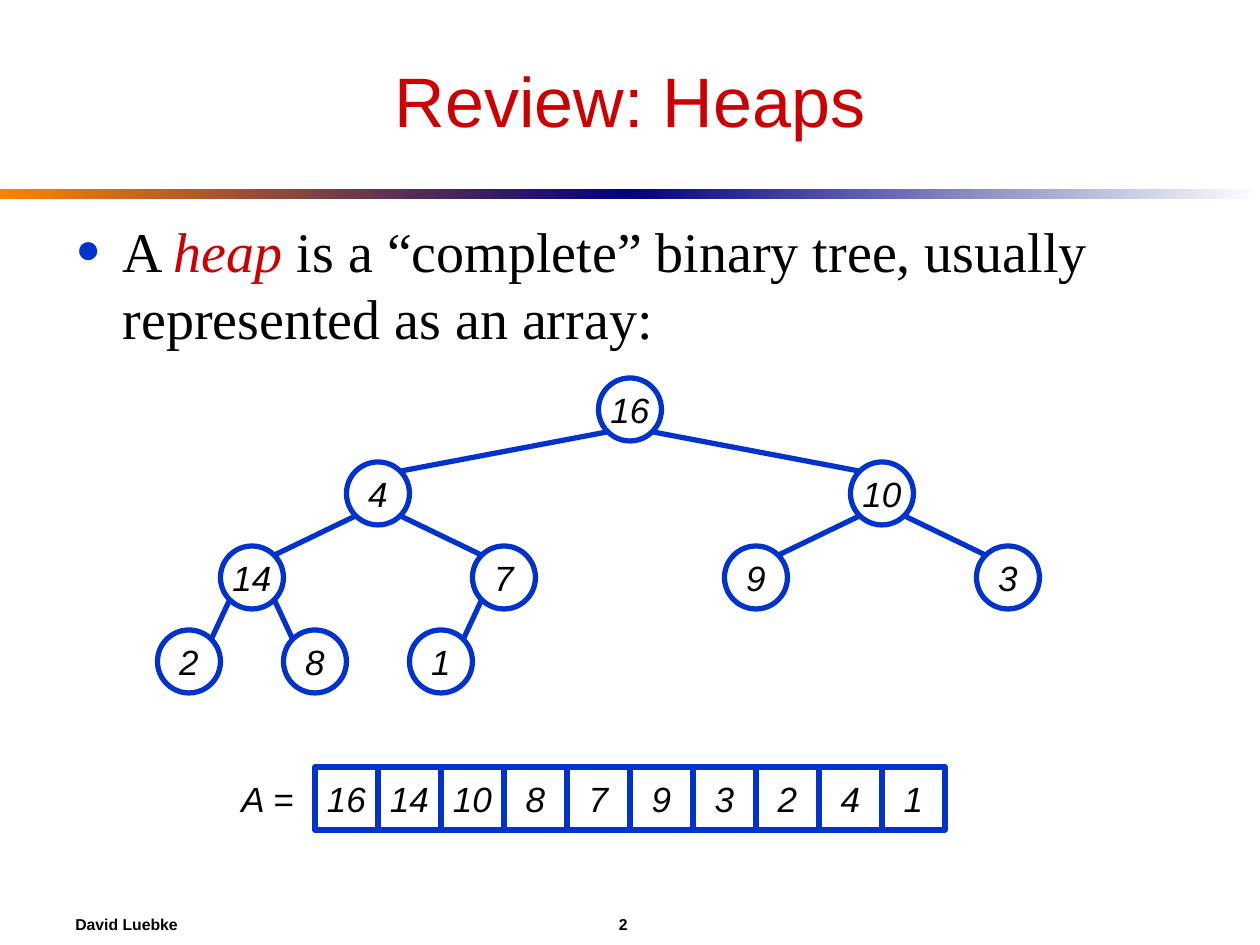
from lxml import etree
from pptx import Presentation
from pptx.dml.color import RGBColor
from pptx.enum.shapes import MSO_CONNECTOR, MSO_SHAPE
from pptx.enum.text import MSO_ANCHOR, MSO_AUTO_SIZE, PP_ALIGN
from pptx.oxml.ns import qn
from pptx.util import Emu, Pt

RECT, OVAL = MSO_SHAPE.RECTANGLE, MSO_SHAPE.OVAL
STRAIGHT = MSO_CONNECTOR.STRAIGHT
TOP, MIDDLE = MSO_ANCHOR.TOP, MSO_ANCHOR.MIDDLE
LEFT, CENTER = PP_ALIGN.LEFT, PP_ALIGN.CENTER
NO_FIT = MSO_AUTO_SIZE.NONE

PX = 914400 / 126
COLORS = {"black": "000000", "white": "FFFFFF", "red": "CC0000",
          "blue": "0033CC", "navy": "000082", "orange": "FF8200"}
TITLE = {"name": "Arial", "size": Pt(40), "color": "red"}
BODY = {"name": "Times New Roman", "size": Pt(32), "color": "black"}
TERM = {**BODY, "italic": True, "color": "red"}
VALUE = {"name": "Arial", "size": Pt(20), "italic": True, "color": "black"}
FOOTER = {"name": "Arial", "size": Pt(9), "bold": True, "color": "black"}

NODE = 63
LEVEL_GAP = 84
DIAGONAL = 0.71
TREE = [16, 4, 10, 14, 7, 9, 3, 2, 8, 1]
ARRAY = [16, 14, 10, 8, 7, 9, 3, 2, 4, 1]


def px(*lengths):
    """Turn px lengths into EMU."""
    return [Emu(round(length * PX)) for length in lengths]


def rgb(name):
    """Look up a named colour."""
    return RGBColor.from_string(COLORS[name])


def add_run(p, text, style):
    """Append a run formatted by a style dict."""
    r = p.add_run()
    r.text = text
    for key, value in style.items():
        if key == "color":
            r.font.color.rgb = rgb(value)
        else:
            setattr(r.font, key, value)


def set_frame(s, align, anchor, wrap=True):
    """Format a text frame and return its first paragraph."""
    tf = s.text_frame
    margin_x, margin_y = Pt(7.2), Pt(3.6)
    settings = {"auto_size": NO_FIT, "word_wrap": wrap, "vertical_anchor": anchor,
                "margin_left": margin_x, "margin_right": margin_x,
                "margin_top": margin_y, "margin_bottom": margin_y}
    for key, value in settings.items():
        setattr(tf, key, value)
    p = tf.paragraphs[0]
    p.alignment = align
    return p


def place(s, box):
    """Move a shape to a px box."""
    s.left, s.top, s.width, s.height = px(*box)


def add_value(shapes, kind, box, value):
    """Draw an outlined shape holding one heap value."""
    s = shapes.add_shape(kind, *px(*box))
    s.shadow.inherit = False
    s.fill.solid()
    s.fill.fore_color.rgb = rgb("white")
    s.line.color.rgb = rgb("blue")
    s.line.width = Pt(3)
    add_run(set_frame(s, CENTER, MIDDLE, False), str(value), VALUE)


def add_rule(slide, box):
    """Draw the two-part gradient rule across the box."""
    left, top, width, height = box
    half = width / 2
    for i, names in enumerate([("orange", "navy"), ("navy", "white")]):
        s = slide.shapes.add_shape(RECT, *px(left + i * half, top, half, height))
        s.shadow.inherit = False
        s.line.fill.background()
        s.fill.gradient()
        s.fill.gradient_angle = 0
        for stop, name in zip(s.fill.gradient_stops, names):
            stop.color.rgb = rgb(name)


def add_title(slide, box):
    """Fill the title placeholder."""
    s = slide.shapes.title
    place(s, box)
    add_run(set_frame(s, CENTER, MIDDLE), "Review: Heaps", TITLE)


def add_body(slide, box):
    """Fill the body placeholder with the bulleted definition."""
    s = slide.placeholders[1]
    place(s, box)
    p = set_frame(s, LEFT, TOP)
    p.space_before = Pt(0)
    pPr = p._p.get_or_add_pPr()
    indent = px(47)[0]
    pPr.set("marL", str(indent))
    pPr.set("indent", str(-indent))
    color = etree.SubElement(pPr, qn("a:buClr"))
    etree.SubElement(color, qn("a:srgbClr"), val=COLORS["blue"])
    etree.SubElement(pPr, qn("a:buSzPct"), val="75000")
    etree.SubElement(pPr, qn("a:buFont"), typeface="Times New Roman")
    etree.SubElement(pPr, qn("a:buChar"), char="●")
    add_run(p, "A ", BODY)
    add_run(p, "heap", TERM)
    add_run(p, " is a “complete” binary tree, usually represented as an array:", BODY)


def add_edge(slide, parent, child):
    """Join the facing diagonal points of two node centres."""
    (x1, y1), (x2, y2) = parent, child
    reach = NODE / 2 * DIAGONAL
    side = reach if x2 > x1 else -reach
    line = slide.shapes.add_connector(
        STRAIGHT, *px(x1 + side, y1 + reach, x2 - side, y2 - reach))
    line.line.color.rgb = rgb("blue")
    line.line.width = Pt(3)
    etree.SubElement(line._element.spPr, qn("a:effectLst"))


def add_tree(slide, box):
    """Draw the values as a complete binary tree, halving the slots per level."""
    left, top, width, _ = box
    centers = []
    for i, value in enumerate(TREE):
        level = (i + 1).bit_length() - 1
        slots = 2 ** level
        x = left + width / slots * (i + 1 - slots + 0.5)
        y = top + level * LEVEL_GAP + NODE / 2
        centers.append((x, y))
        add_value(slide.shapes, OVAL, (x - NODE / 2, y - NODE / 2, NODE, NODE), value)
    for i in range(1, len(centers)):
        add_edge(slide, centers[(i - 1) // 2], centers[i])


def add_array(slide, box):
    """Draw the label and the row of array cells as one group."""
    left, top, width, height = box
    shapes = slide.shapes.add_group_shape().shapes
    label_width = width - NODE * len(ARRAY)
    for i, value in enumerate(ARRAY):
        add_value(shapes, RECT, (left + label_width + i * NODE, top, NODE, height), value)
    label = shapes.add_textbox(*px(left, top, label_width, height))
    add_run(set_frame(label, CENTER, MIDDLE, False), "A =", VALUE)


def add_footer(slide, box):
    """Write the author and the page number, parted by a centred tab stop."""
    s = slide.shapes.add_textbox(*px(*box))
    p = set_frame(s, LEFT, MIDDLE)
    tabs = etree.SubElement(p._p.get_or_add_pPr(), qn("a:tabLst"))
    etree.SubElement(tabs, qn("a:tab"), pos=str(px(548)[0]), algn="ctr")
    add_run(p, "David Luebke\t2", FOOTER)


def main():
    """Build the slide and save it."""
    prs = Presentation()
    prs.slide_width, prs.slide_height = px(1260, 945)
    slide = prs.slides.add_slide(prs.slide_layouts[1])
    add_rule(slide, (0, 189, 1260, 10))
    add_footer(slide, (63, 903, 1134, 42))
    add_title(slide, (63, 32, 1134, 136))
    add_body(slide, (63, 210, 1134, 599))
    add_tree(slide, (126, 378, 1008, 315))
    add_array(slide, (220, 767, 725, 63))
    prs.save("out.pptx")


if __name__ == "__main__":
    main()
